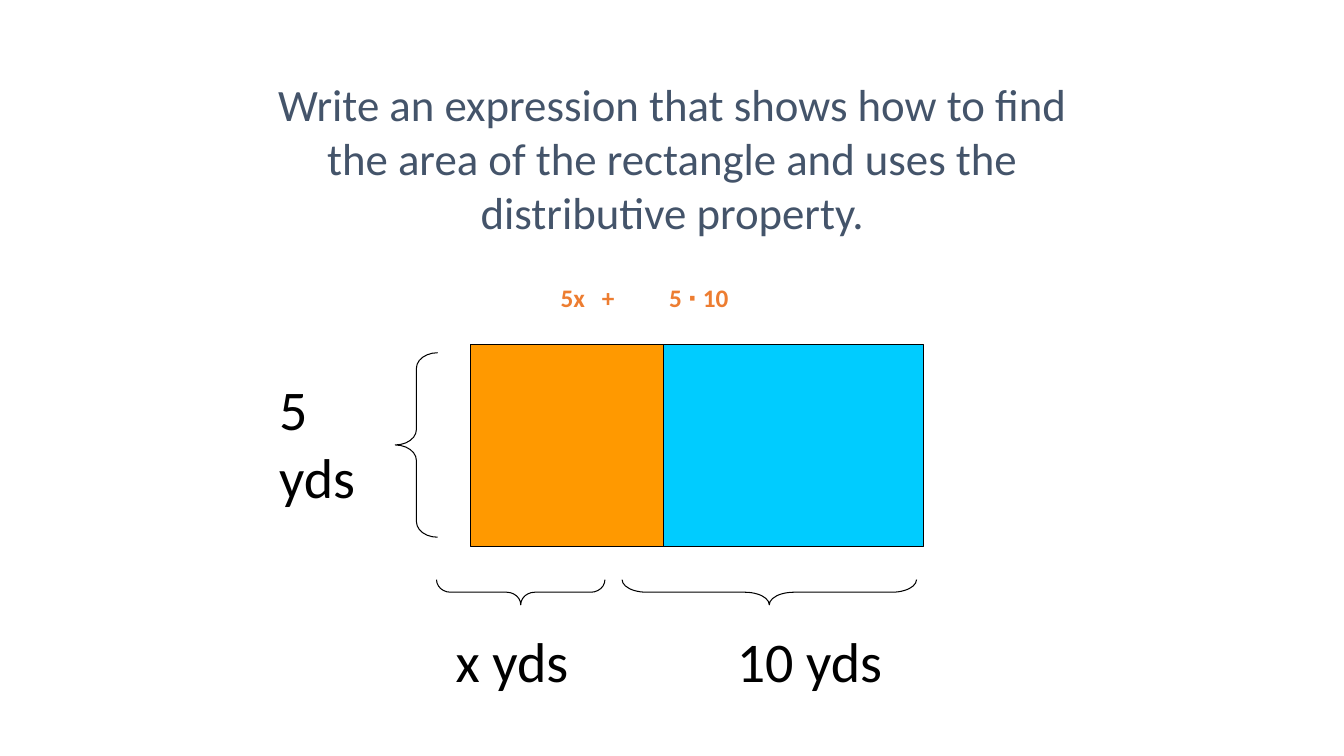
from lxml import etree
from pptx import Presentation
from pptx.dml.color import RGBColor
from pptx.enum import shapes, text
from pptx.oxml.ns import qn
from pptx.util import Inches, Pt

THEME = {
    "font": "Calibri",
    "title": "44546A", "ink": "000000", "accent": "ED7D31",
    "title_size": 32, "label_size": 40, "term_size": 18, "line_width": 0.75,
}
CENTER = text.PP_ALIGN.CENTER

TITLE = ("Write an expression that shows how to find the area of the rectangle "
         "and uses the distributive property.")

# left, width, fill of the two parts of the rectangle
RECTANGLE_TOP, RECTANGLE_HEIGHT = 3.42, 2
PARTS = [(4.67, 1.92, "FF9900"), (6.58, 2.58, "00CCFF")]

# wording and box: left, top, width, height
LABELS = [
    ("5 yds", (2.67, 3.67, 1.25, 1.43)),
    ("x yds", (4.42, 6.17, 1.67, 0.77)),
    ("10 yds", (7.21, 6.17, 2.7, 0.77)),
]

# visible box, curl of the ends, whether the point faces down
BRACES = [
    ((3.92, 3.5, 0.42, 1.83), 0.367, False),
    ((6.17, 5.75, 2.92, 0.25), 0.972, True),
    ((4.33, 5.75, 1.67, 0.25), 0.556, True),
]

# wording, box and format of the two terms
TERMS = [
    ("5x\t+", (5.08, 2.75, 1.5, 0.4), {"inset": 0.48, "tab": 0.41}),
    ("5 ∙ 10", (5.97, 2.75, 1.92, 0.4), {"align": CENTER}),
]


def add_text(slide, wording, box, *, size, color, bold=False, align=None,
             anchor=text.MSO_ANCHOR.TOP, inset=0.1, tab=None):
    frame = slide.shapes.add_textbox(*map(Inches, box)).text_frame
    frame.word_wrap = True
    frame.vertical_anchor = anchor
    frame.margin_left = Inches(inset)
    paragraph = frame.paragraphs[0]
    paragraph.alignment = align
    if tab is not None:
        tabs = etree.SubElement(paragraph._p.get_or_add_pPr(), qn("a:tabLst"))
        etree.SubElement(tabs, qn("a:tab"), pos=str(Inches(tab)), algn="l")
    run = paragraph.add_run()
    run.text = wording
    run.font.name = THEME["font"]
    run.font.size = Pt(size)
    run.font.bold = bold
    run.font.color.rgb = RGBColor.from_string(color)


def add_outlined(slide, kind, box, fill=None):
    """Add a preset shape with a thin outline, hollow unless a fill is given."""
    shape = slide.shapes.add_shape(kind, *map(Inches, box))
    shape.shadow.inherit = False
    if fill:
        shape.fill.solid()
        shape.fill.fore_color.rgb = RGBColor.from_string(fill)
    else:
        shape.fill.background()
    shape.line.color.rgb = RGBColor.from_string(THEME["ink"])
    shape.line.width = Pt(THEME["line_width"])
    return shape


def add_brace(slide, box, curl, faces_down):
    """Add a left brace; one that faces down is turned about its centre."""
    left, top, width, height = box
    if faces_down:
        shift = (width - height) / 2
        box = (left + shift, top - shift, height, width)
    brace = add_outlined(slide, shapes.MSO_SHAPE.LEFT_BRACE, box)
    brace.adjustments[0] = curl
    if faces_down:
        brace.rotation = 270


def main():
    presentation = Presentation()
    presentation.slide_width = Inches(13.33)
    presentation.slide_height = Inches(7.5)
    slide = presentation.slides.add_slide(presentation.slide_layouts[6])

    add_text(slide, TITLE, (2.42, 0.67, 8.5, 1.79), size=THEME["title_size"],
             color=THEME["title"], align=CENTER, anchor=text.MSO_ANCHOR.MIDDLE)
    for left, width, fill in PARTS:
        add_outlined(slide, shapes.MSO_SHAPE.RECTANGLE,
                     (left, RECTANGLE_TOP, width, RECTANGLE_HEIGHT), fill)
    for wording, box in LABELS:
        add_text(slide, wording, box, size=THEME["label_size"], color=THEME["ink"])
    for box, curl, faces_down in BRACES:
        add_brace(slide, box, curl, faces_down)
    for wording, box, layout in TERMS:
        add_text(slide, wording, box, size=THEME["term_size"],
                 color=THEME["accent"], bold=True, **layout)

    presentation.save("out.pptx")


if __name__ == "__main__":
    main()
